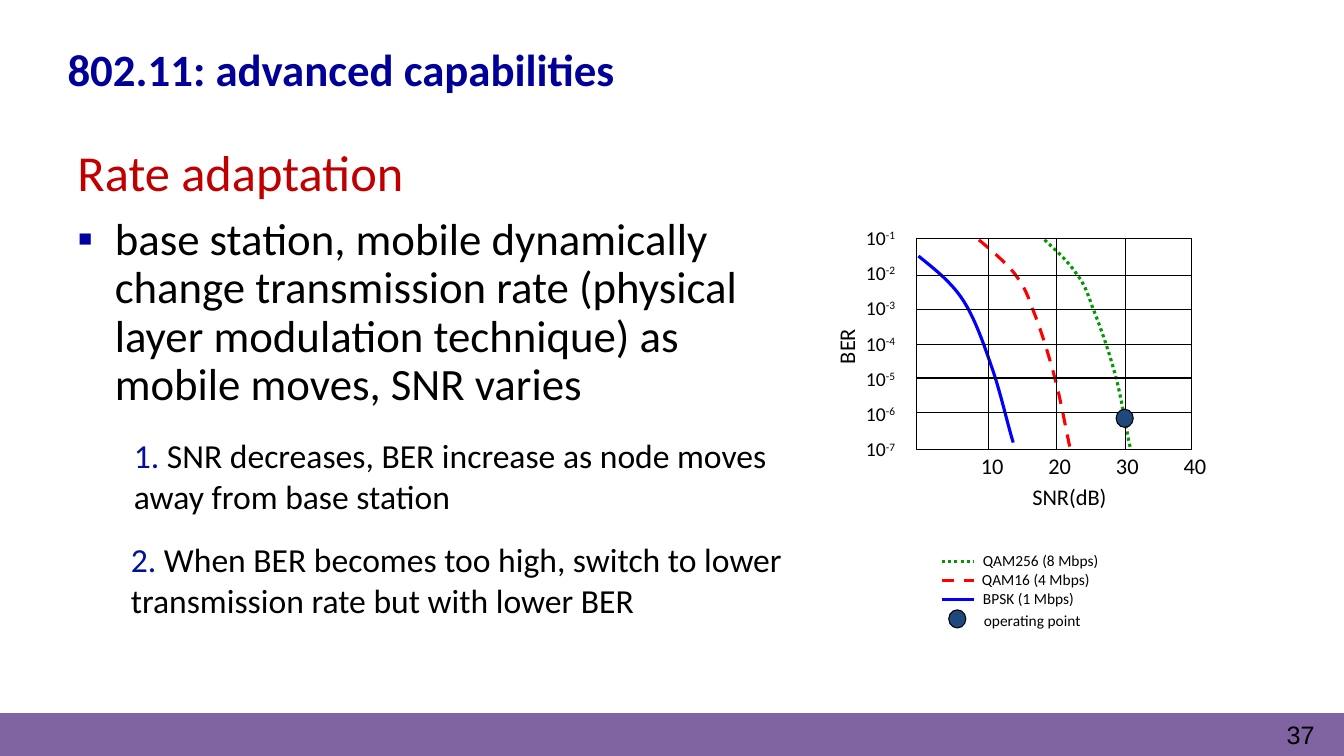
from pptx import Presentation
from pptx.dml.color import RGBColor
from pptx.enum.dml import MSO_LINE as Dash
from pptx.enum.shapes import MSO_CONNECTOR as Connector, MSO_SHAPE as Preset
from pptx.oxml.ns import qn
from pptx.util import Inches, Pt
from lxml import etree

COLORS = {
    "title": "000099", "heading": "C00000", "text": "000000", "bullet": "0000A3",
    "number": "011199", "footer": "8063A1", "point": "1F497D",
    "BPSK": "0000FF", "QAM16": "FF0000", "QAM256": "009900",
}
DASHES = {"BPSK": Dash.SOLID, "QAM16": Dash.DASH, "QAM256": Dash.ROUND_DOT}
# Each curve is a start point followed by Bezier control points in threes.
CURVES = {
    "BPSK": [(9.11, 2.54), (9.27, 2.67), (9.44, 2.8), (9.56, 2.99),
             (9.68, 3.18), (9.77, 3.45), (9.85, 3.68),
             (9.93, 3.92), (10.01, 4.27), (10.05, 4.39)],
    "QAM16": [(9.71, 2.38), (9.84, 2.49), (9.97, 2.6), (10.06, 2.71),
              (10.15, 2.83), (10.18, 2.89), (10.24, 3.06),
              (10.31, 3.23), (10.4, 3.51), (10.46, 3.74),
              (10.52, 3.96), (10.56, 4.2), (10.61, 4.43)],
    "QAM256": [(10.36, 2.38), (10.48, 2.49), (10.6, 2.6), (10.68, 2.72),
               (10.76, 2.83), (10.78, 2.89), (10.84, 3.06),
               (10.91, 3.23), (11.01, 3.52), (11.07, 3.75),
               (11.13, 3.98), (11.18, 4.32), (11.21, 4.44)],
}
LEGEND = [("QAM256", "QAM256 (8 Mbps)", 5.57, 9.65, 1.36),
          ("QAM16", "QAM16 (4 Mbps)", 5.76, 9.64, 1.28),
          ("BPSK", "BPSK (1 Mbps)", 5.95, 9.65, 1.11)]


class SlideBuilder:
    def __init__(self, slide, font="Calibri"):
        self.slide = slide
        self.font = font

    def color(self, name):
        return RGBColor.from_string(COLORS[name])

    def style_line(self, line, color, width, dash=None):
        line.color.rgb = self.color(color)
        line.width = Pt(width)
        if dash is not None:
            line.dash_style = dash

    def shape(self, preset, box, fill=None, line="text", width=0.75):
        shape = self.slide.shapes.add_shape(preset, *map(Inches, box))
        shape.shadow.inherit = False
        if fill:
            shape.fill.solid()
            shape.fill.fore_color.rgb = self.color(fill)
        else:
            shape.fill.background()
        self.style_line(shape.line, line, width)
        return shape

    def line(self, start, end, color="text", width=0.75, dash=None):
        connector = self.slide.shapes.add_connector(
            Connector.STRAIGHT, *map(Inches, (*start, *end)))
        self.style_line(connector.line, color, width, dash)
        etree.SubElement(connector._element.spPr, qn("a:effectLst"))
        return connector

    def curve(self, name):
        """Draw a chain of cubic Bezier segments."""
        points = [(Inches(x), Inches(y)) for x, y in CURVES[name]]
        builder = self.slide.shapes.build_freeform(*points[0])
        builder.add_line_segments(points[1:], close=False)
        shape = builder.convert_to_shape()
        straight = list(shape._element.iter(qn("a:lnTo")))
        for first in range(0, len(straight), 3):
            bezier = etree.Element(qn("a:cubicBezTo"))
            straight[first].addprevious(bezier)
            for segment in straight[first:first + 3]:
                bezier.append(segment[0])
                segment.getparent().remove(segment)
        shape.shadow.inherit = False
        shape.fill.background()
        self.style_line(shape.line, name, 2.25, DASHES[name])

    def run(self, paragraph, text, size, color="text", superscript=False, **formats):
        run = paragraph.add_run()
        run.text = text
        run.font.color.rgb = self.color(color)
        for name, value in {"name": self.font, "size": Pt(size), **formats}.items():
            setattr(run.font, name, value)
        if superscript:
            run._r.get_or_add_rPr().set("baseline", "30000")

    def text(self, box, *runs, wrap=True, margins=True):
        """Add a text box; each run is (text, size[, color[, superscript]])."""
        shape = self.slide.shapes.add_textbox(*map(Inches, box))
        frame = shape.text_frame
        frame.word_wrap = wrap
        if not margins:
            for side in ("left", "top", "right", "bottom"):
                setattr(frame, f"margin_{side}", 0)
        for run in runs:
            self.run(frame.paragraphs[0], *run)
        return shape

    def hanging(self, paragraph, bullet=None):
        """Give a paragraph a hanging indent and, if wanted, a bullet."""
        properties = paragraph._p.get_or_add_pPr()
        properties.set("marL", str(Inches(0.39)))
        properties.set("indent", str(Inches(-0.37)))
        paragraph.line_spacing = 0.9
        if bullet:
            paragraph.space_before = Pt(10)
            color = etree.SubElement(properties, qn("a:buClr"))
            etree.SubElement(color, qn("a:srgbClr"), val=COLORS["bullet"])
            etree.SubElement(properties, qn("a:buFont"), typeface="Arial")
            etree.SubElement(properties, qn("a:buChar"), char=bullet)


def add_text(builder):
    title = builder.text((0.67, 0.41, 11.5, 0.98), margins=False)
    builder.run(title.text_frame.paragraphs[0], "802.11: advanced capabilities",
                32, "title", bold=True)

    body = builder.text((0.65, 1.42, 7.19, 5.08), ("Rate adaptation", 36, "heading"))
    builder.hanging(body.text_frame.paragraphs[0])
    point = body.text_frame.add_paragraph()
    builder.hanging(point, "▪")
    builder.run(point, "base station, mobile dynamically change transmission rate "
                "(physical layer modulation technique) as mobile moves, SNR varies", 32)

    builder.text((1.23, 4.27, 7.2, 0.91), ("1. ", 24, "number"),
                 ("SNR decreases, BER increase as node moves away from base station", 24))
    builder.text((1.2, 5.3, 7.24, 0.91), ("2. ", 24, "number"),
                 ("When BER becomes too high, switch to lower transmission rate "
                  "but with lower BER", 24))


def add_graph(builder):
    left, top, width, height = 9.09, 2.37, 2.73, 2.09
    right, bottom = left + width, top + height
    for name in CURVES:
        builder.curve(name)
    frame = builder.shape(Preset.RECTANGLE, (left, top, width, height))
    for row in range(5):
        y = 2.73 + 0.34 * row
        grid_line = builder.line((left, y), (right, y))
        if row == 2:
            grid_line.begin_connect(frame, 1)
            grid_line.end_connect(frame, 3)
    for column in range(3):
        x = 9.8 + 0.68 * column
        builder.line((x, top), (x, bottom))
    for column in range(4):
        builder.text((9.63 + 0.67 * column, 4.44, 0.58, 0.37),
                     (str(10 * (column + 1)), 16))
    for row in range(7):
        builder.text((8.49, 2.19 + 0.35 * row, 0.69, 0.34),
                     ("10", 14), (f"-{row + 1}", 14, "text", True))
    builder.text((10.14, 4.74, 1.28, 0.37), ("SNR(dB)", 16))
    builder.text((8.16, 3.16, 0.6, 0.5), ("BER", 16)).rotation = 270
    builder.shape(Preset.OVAL, (11.07, 4.06, 0.17, 0.18), "point")


def add_legend(builder):
    for name, label, y, x, width in LEGEND:
        builder.line((9.34, y), (9.66, y), name, 2.25, DASHES[name])
        builder.text((x, y - 0.15, width, 0.29), (label, 11), wrap=False)
    builder.shape(Preset.OVAL, (9.41, 6.05, 0.17, 0.18), "point")
    builder.text((9.66, 6.01, 1.17, 0.29), ("operating point", 11), wrap=False)


def add_footer(builder):
    builder.shape(Preset.RECTANGLE, (0, 7.08, 13.33, 0.42), "footer", "footer", 1)
    number = builder.text((12.58, 7.15, 0.71, 0.31), margins=False)
    paragraph = number.text_frame.paragraphs[0]
    paragraph._p.get_or_add_pPr().set("marL", str(Inches(0.18)))
    paragraph.line_spacing = Pt(20.9)
    builder.run(paragraph, "37", 18, name="Arial")


def main():
    presentation = Presentation()
    presentation.slide_width = Inches(13.33)
    presentation.slide_height = Inches(7.5)
    builder = SlideBuilder(presentation.slides.add_slide(presentation.slide_layouts[6]))
    for add_part in (add_footer, add_text, add_graph, add_legend):
        add_part(builder)
    presentation.save("out.pptx")


if __name__ == "__main__":
    main()
